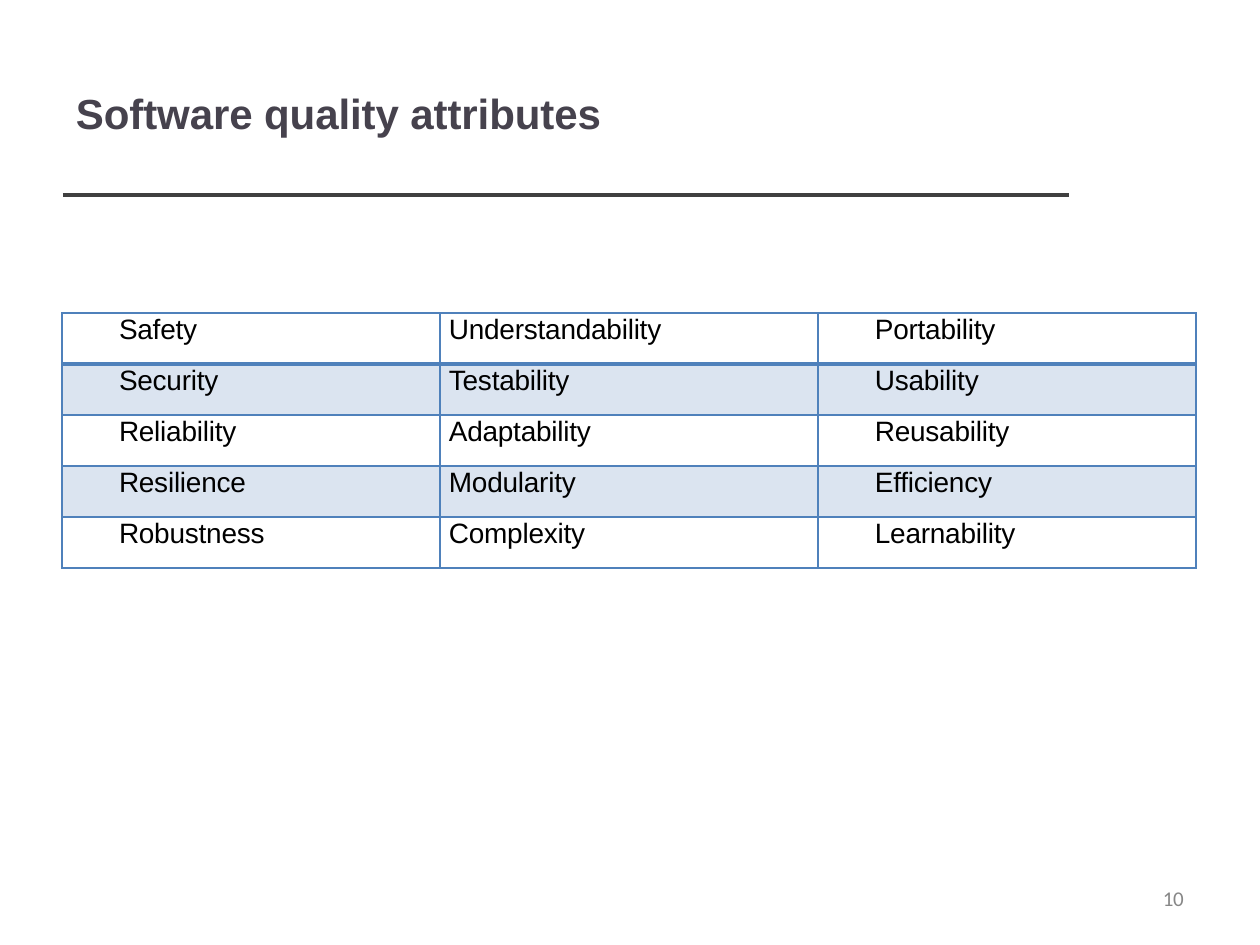
"""Build a slide with a table of software quality attributes."""
from lxml import etree
from pptx import Presentation
from pptx import util as u
from pptx.dml.color import RGBColor
from pptx.enum import shapes, text
from pptx.oxml import ns

PX = 914400 // 126
TITLE = RGBColor(0x46, 0x42, 0x4D)
RULE = RGBColor(0x40, 0x40, 0x40)
GREY = RGBColor(0x87, 0x87, 0x87)
BLACK = RGBColor(0, 0, 0)
BORDER = RGBColor(0x4F, 0x81, 0xBB)
BAND = RGBColor(0xDB, 0xE4, 0xF0)


def write(frame, words, size, color, font="Arial", bold=False, indent=0, leading=None, spacing=-10):
    frame.word_wrap = True
    frame.vertical_anchor = text.MSO_ANCHOR.TOP
    frame.margin_left = frame.margin_right = frame.margin_top = frame.margin_bottom = 0
    para = frame.paragraphs[0]
    para._p.get_or_add_pPr().set("marL", str(indent * PX))
    if leading:
        para.line_spacing = u.Pt(leading)
    span = para.add_run()
    span.text = words
    span.font.name = font
    span.font.size = u.Pt(size)
    span.font.bold = bold
    span.font.color.rgb = color
    span._r.get_or_add_rPr().set("spc", str(spacing))


def add_border(cell, side, width):
    props = cell._tc.get_or_add_tcPr()
    line = etree.SubElement(props, ns.qn(f"a:{side}"), w=str(u.Pt(width)))
    fill = etree.SubElement(line, ns.qn("a:solidFill"))
    etree.SubElement(fill, ns.qn("a:srgbClr"), val=str(BORDER))


deck = Presentation()
deck.slide_width = u.Inches(10)
deck.slide_height = u.Inches(7.5)
page = deck.slides.add_slide(deck.slide_layouts[6])

rule = page.shapes.add_connector(
    shapes.MSO_CONNECTOR.STRAIGHT, 63 * PX, 195 * PX, 1069 * PX, 195 * PX)
rule.line.color.rgb = RULE
rule.line.width = u.Pt(2)
etree.SubElement(rule._element.spPr, ns.qn("a:effectLst"))

title = page.shapes.add_textbox(72 * PX, 87 * PX, 958 * PX, 55 * PX)
write(title.text_frame, "Software quality attributes", 24, TITLE, bold=True, indent=4, spacing=-5)

number = page.shapes.add_textbox(1158 * PX, 889 * PX, 34 * PX, 24 * PX)
write(number.text_frame, "10", 12, GREY, font="Calibri", indent=5, leading=12.4, spacing=-20)

ROWS = [
    ("Safety", "Understandability", "Portability"),
    ("Security", "Testability", "Usability"),
    ("Reliability", "Adaptability", "Reusability"),
    ("Resilience", "Modularity", "Efficiency"),
    ("Robustness", "Complexity", "Learnability"),
]
INDENTS = (57, 9, 57)

table = page.shapes.add_table(5, 3, 62 * PX, 313 * PX, 3 * 378 * PX, 5 * 51 * PX).table
table.first_row = table.horz_banding = False
for row, words in enumerate(ROWS):
    for column, (word, indent) in enumerate(zip(words, INDENTS)):
        cell = table.cell(row, column)
        cell.margin_left = cell.margin_right = cell.margin_top = cell.margin_bottom = 0
        add_border(cell, "lnL", 1)
        add_border(cell, "lnR", 1)
        add_border(cell, "lnT", 2.25 if row == 1 else 1)
        add_border(cell, "lnB", 2.25 if row == 0 else 1)
        if row % 2:
            cell.fill.solid()
            cell.fill.fore_color.rgb = BAND
        else:
            cell.fill.background()
        write(cell.text_frame, word, 16, BLACK, indent=indent, leading=18.6)

deck.save("out.pptx")
